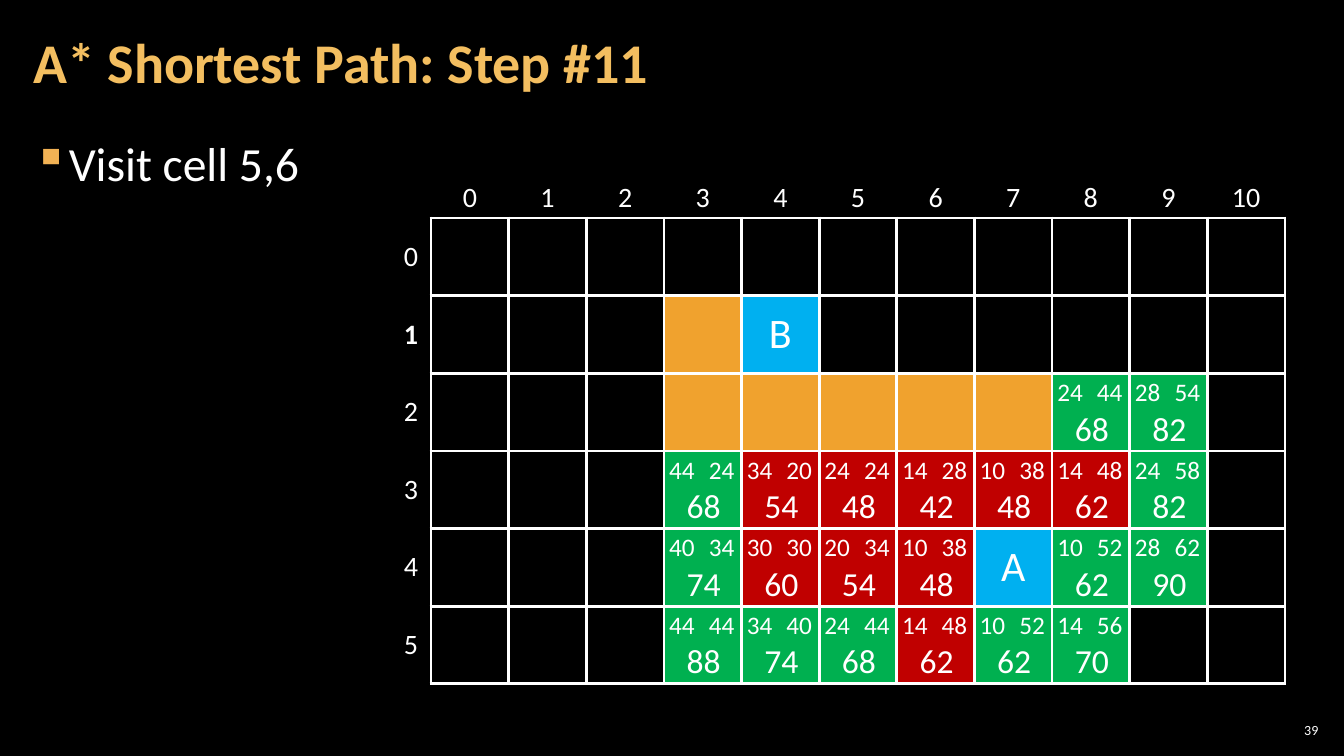
from lxml import etree
from pptx import Presentation
from pptx import util as u
from pptx.dml import color
from pptx.enum import text
from pptx.oxml import ns

Pt = u.Pt
FONT = "Calibri"
COLOURS = {
    "background": "000000",
    "text": "FFFFFF",
    "title": "F3BE60",
    "bullet": "F2B254",
    "wall": "F0A22E",
    "endpoint": "00B0F0",
    "open": "00B050",
    "visited": "C00000",
}
COLUMNS, ROWS = 11, 6
HEADER, CELL = 28.8, 55.45
BORDER = 2.25
CURRENT_ROW = 1
ENDPOINTS = {(4, 1): "B", (7, 4): "A"}
WALLS = [(3, 1)] + [(column, 2) for column in range(3, 8)]
COSTS = {
    (8, 2): (24, 44, "open"),
    (9, 2): (28, 54, "open"),
    (3, 3): (44, 24, "open"),
    (4, 3): (34, 20, "visited"),
    (5, 3): (24, 24, "visited"),
    (6, 3): (14, 28, "visited"),
    (7, 3): (10, 38, "visited"),
    (8, 3): (14, 48, "visited"),
    (9, 3): (24, 58, "open"),
    (3, 4): (40, 34, "open"),
    (4, 4): (30, 30, "visited"),
    (5, 4): (20, 34, "visited"),
    (6, 4): (10, 38, "visited"),
    (8, 4): (10, 52, "open"),
    (9, 4): (28, 62, "open"),
    (3, 5): (44, 44, "open"),
    (4, 5): (34, 40, "open"),
    (5, 5): (24, 44, "open"),
    (6, 5): (14, 48, "visited"),
    (7, 5): (10, 52, "open"),
    (8, 5): (14, 56, "open"),
}


def rgb(name):
    return color.RGBColor.from_string(COLOURS[name])


def style(para, size, colour="text", bold=False, align=text.PP_ALIGN.LEFT):
    para.alignment = align
    for span in para.runs:
        span.font.name = FONT
        span.font.size = Pt(size)
        span.font.bold = bold
        span.font.color.rgb = rgb(colour)


def add_text(parts, box, words, size, margins=(7.2, 3.6),
             anchor=text.MSO_ANCHOR.TOP, **look):
    frame = parts.add_textbox(*map(Pt, box)).text_frame
    frame.word_wrap = True
    frame.vertical_anchor = anchor
    frame.margin_left = frame.margin_right = Pt(margins[0])
    frame.margin_top = frame.margin_bottom = Pt(margins[1])
    frame.text = words
    para = frame.paragraphs[0]
    style(para, size, **look)
    return para


def add_title(page, box):
    para = add_text(page.shapes, box, "A* Shortest Path: Step #11", 40, (8.64, 2.88),
                    text.MSO_ANCHOR.MIDDLE, colour="title", bold=True)
    para.line_spacing = 0.9


def add_body(page, box):
    para = add_text(page.shapes, box, "Visit cell 5,6", 34, (8.64, 2.88))
    para.line_spacing = 1.05
    para.space_after = Pt(6)
    props = para._p.get_or_add_pPr()
    props.set("marL", str(Pt(24)))
    props.set("indent", str(-Pt(24)))
    paint = etree.SubElement(props, ns.qn("a:buClr"))
    etree.SubElement(paint, ns.qn("a:srgbClr"), val=COLOURS["bullet"])
    etree.SubElement(props, ns.qn("a:buChar"), char="▪")


def set_borders(cell, sides):
    props = cell._tc.get_or_add_tcPr()
    for side in "LRTB":
        line = etree.SubElement(props, ns.qn("a:ln" + side), w=str(Pt(BORDER)))
        if side in sides:
            paint = etree.SubElement(line, ns.qn("a:solidFill"))
            etree.SubElement(paint, ns.qn("a:srgbClr"), val=COLOURS["text"])
        else:
            etree.SubElement(line, ns.qn("a:noFill"))


def cell_colour(spot):
    if spot in ENDPOINTS:
        return "endpoint"
    if spot in WALLS:
        return "wall"
    return COSTS[spot][2] if spot in COSTS else None


def fill_cell(cell, column, row):
    heading = column < 0 or row < 0
    if column < 0 and row < 0:
        words, sides = "", ""
    elif row < 0:
        words, sides = str(column), "B"
    elif column < 0:
        words, sides = str(row), "R"
    else:
        words, sides = ENDPOINTS.get((column, row), ""), "LRTB"
    set_borders(cell, sides)
    colour = cell_colour((column, row))
    if colour:
        cell.fill.solid()
        cell.fill.fore_color.rgb = rgb(colour)
    else:
        cell.fill.background()
    cell.vertical_anchor = text.MSO_ANCHOR.MIDDLE
    cell.margin_left = cell.margin_right = Pt(5.76)
    cell.margin_top = cell.margin_bottom = Pt(2.88)
    if words:
        cell.text_frame.text = words
        style(cell.text_frame.paragraphs[0], 20 if heading else 30,
              bold=column < 0 and row == CURRENT_ROW, align=text.PP_ALIGN.CENTER)
    else:
        cell.text_frame.paragraphs[0].font.size = Pt(12)


def add_grid(page, box):
    table = page.shapes.add_table(ROWS + 1, COLUMNS + 1, *map(Pt, box)).table
    table.first_row = table.horz_banding = False
    for index, column in enumerate(table.columns):
        column.width = Pt(CELL if index else HEADER)
    for index, row in enumerate(table.rows):
        row.height = Pt(CELL if index else HEADER)
    for row in range(-1, ROWS):
        for column in range(-1, COLUMNS):
            fill_cell(table.cell(row + 1, column + 1), column, row)


def add_costs(page, box):
    for (column, row), (walked, remaining, _) in COSTS.items():
        left = box[0] + HEADER + column * CELL
        top = box[1] + HEADER + row * CELL
        parts = page.shapes.add_group_shape().shapes
        add_text(parts, (left + 1.4, top + 21.8, 54, 36), str(walked + remaining), 24,
                 align=text.PP_ALIGN.CENTER)
        for offset, cost in ((-3.3, walked), (25, remaining)):
            add_text(parts, (left + offset, top - 0.5, 36, 28.8), str(cost), 18)


def add_page_number(page, box):
    add_text(page.shapes, box, "39", 10, (2.88, 2.88), text.MSO_ANCHOR.MIDDLE,
             align=text.PP_ALIGN.RIGHT)


def main():
    deck = Presentation()
    deck.slide_width, deck.slide_height = Pt(960), Pt(540)
    page = deck.slides.add_slide(deck.slide_layouts[6])
    page.background.fill.solid()
    page.background.fill.fore_color.rgb = rgb("background")
    grid = (279.1, 126, HEADER + COLUMNS * CELL, HEADER + ROWS * CELL)
    add_page_number(page, (910.8, 514, 33.8, 15.1))
    add_body(page, (15.1, 90.7, 929.5, 438.5))
    add_title(page, (15.1, 2.9, 753.8, 87.1))
    add_grid(page, grid)
    add_costs(page, grid)
    deck.save("out.pptx")


if __name__ == "__main__":
    main()
